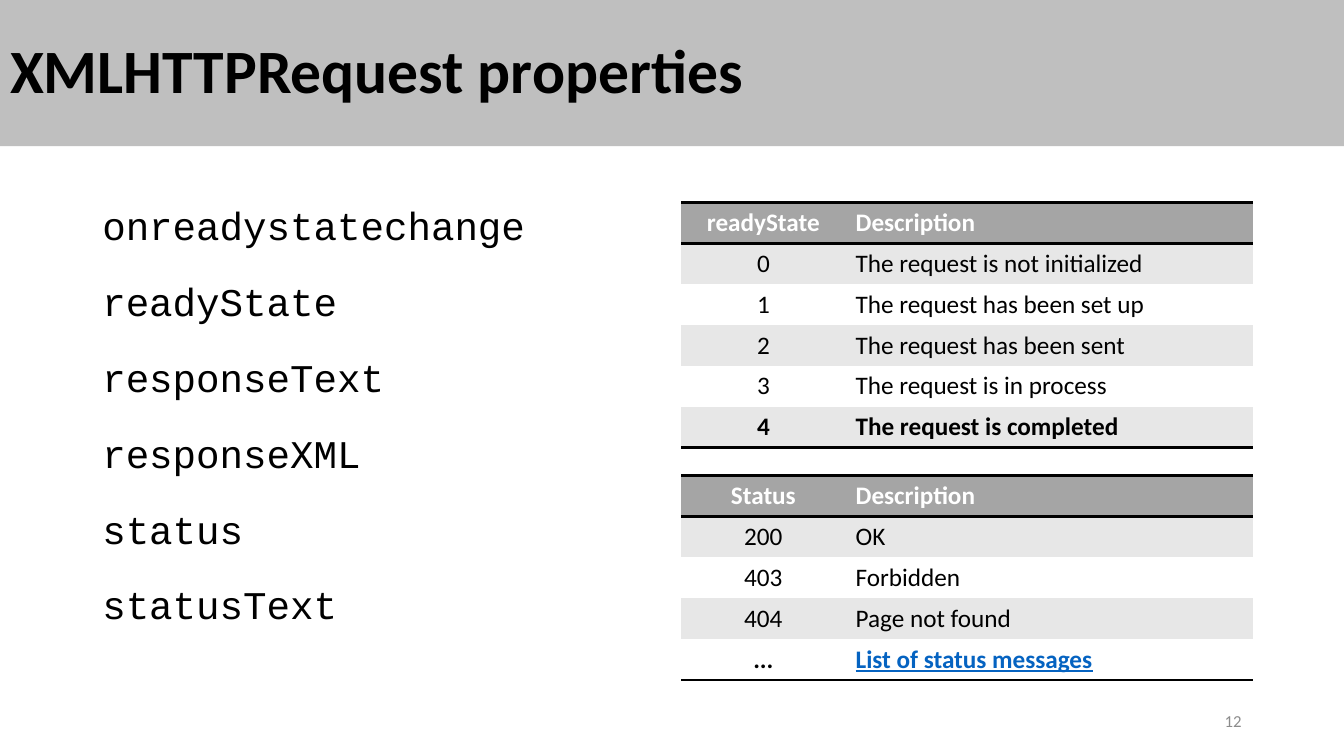
from dataclasses import dataclass

from lxml.etree import SubElement
from pptx import Presentation
from pptx.dml.color import RGBColor
from pptx.enum.text import MSO_ANCHOR as Anchor, MSO_AUTO_SIZE as AutoSize, PP_ALIGN as Align
from pptx.oxml import parse_xml
from pptx.oxml.ns import nsdecls, qn
from pptx.slide import Slide
from pptx.table import _Cell as Cell
from pptx.text.text import _Paragraph as Paragraph
from pptx.util import Pt


@dataclass(frozen=True)
class Theme:
    """Colours, fonts and type sizes of the slide."""
    ink: str = "000000"
    paper: str = "FFFFFF"
    banner: str = "BFBFBF"
    header: str = "A5A5A5"
    band: str = "E7E7E7"
    link: str = "0563C1"
    muted: str = "8C8C8C"
    sans: str = "Calibri"
    mono: str = "Courier New"
    title_size: float = 44
    body_size: float = 28
    table_size: float = 18
    number_size: float = 12


@dataclass(frozen=True)
class Box:
    """A rectangle in points."""
    left: float
    top: float
    width: float
    height: float

    def lengths(self) -> tuple[Pt, Pt, Pt, Pt]:
        """Return the four lengths for python-pptx."""
        return Pt(self.left), Pt(self.top), Pt(self.width), Pt(self.height)


@dataclass(frozen=True)
class CodeTable:
    """A table of codes and their descriptions."""
    top: float
    rows: tuple[tuple[str, str], ...]
    linked_last: bool = False


THEME = Theme()
TABLE_LEFT = 486.6
COLUMN_WIDTHS = (117.4, 291)
ROW_HEIGHT = 29.2
RULE_WIDTH = 2
NO_STYLE = "{2D5ABB26-0587-4C30-8999-92F81FD0307C}"

PROPERTIES = ("onreadystatechange", "readyState", "responseText",
              "responseXML", "status", "statusText")
READY_STATES = CodeTable(144.6, (
    ("readyState", "Description"),
    ("0", "The request is not initialized"),
    ("1", "The request has been set up"),
    ("2", "The request has been sent"),
    ("3", "The request is in process"),
    ("4", "The request is completed"),
))
STATUSES = CodeTable(339.8, (
    ("Status", "Description"),
    ("200", "OK"),
    ("403", "Forbidden"),
    ("404", "Page not found"),
    ("...", "List of status messages"),
), linked_last=True)


def style(para: Paragraph, size: float, colour: str, font: str = THEME.sans,
          bold: bool = False, align: Align = Align.LEFT) -> None:
    """Set the font and alignment of a paragraph."""
    para.font.name = font
    para.font.size = Pt(size)
    para.font.bold = bold
    para.font.color.rgb = RGBColor.from_string(colour)
    para.alignment = align


def add_title(page: Slide, text: str) -> None:
    """Turn the title placeholder into the full-width banner."""
    title = page.shapes.title
    title.left, title.top, title.width, title.height = Box(0, 0, 960, 104.4).lengths()
    title.fill.solid()
    title.fill.fore_color.rgb = RGBColor.from_string(THEME.banner)
    frame = title.text_frame
    frame.text = text
    frame.auto_size = AutoSize.NONE
    frame.vertical_anchor = Anchor.MIDDLE
    para = frame.paragraphs[0]
    para.line_spacing = 0.9
    style(para, THEME.title_size, THEME.ink, bold=True)


def add_properties(page: Slide, names: tuple[str, ...]) -> None:
    """List the property names in a monospaced font."""
    frame = page.shapes.add_textbox(*Box(66, 144, 408, 342.7).lengths()).text_frame
    frame.word_wrap = True
    frame.text = "\n".join(names)
    for para in frame.paragraphs:
        para.line_spacing = 0.9
        para.space_before = para.space_after = Pt(12)
        style(para, THEME.body_size, THEME.ink, THEME.mono)


def add_rules(cell: Cell, *sides: str) -> None:
    """Draw black rules on the named sides, such as lnT and lnB."""
    properties = cell._tc.get_or_add_tcPr()
    for position, side in enumerate(sides):
        properties.insert(position, parse_xml(
            f'<a:{side} {nsdecls("a")} w="{Pt(RULE_WIDTH)}"><a:solidFill>'
            f'<a:srgbClr val="{THEME.ink}"/></a:solidFill></a:{side}>'))


def fill_cell(cell: Cell, text: str, fill: str, colour: str, bold: bool,
              align: Align) -> None:
    """Write and colour one table cell."""
    cell.text = text
    cell.fill.solid()
    cell.fill.fore_color.rgb = RGBColor.from_string(fill)
    style(cell.text_frame.paragraphs[0], THEME.table_size, colour, bold=bold, align=align)


def add_code_table(page: Slide, codes: CodeTable) -> None:
    """Add a banded table with rules around its header and at its foot."""
    count = len(codes.rows)
    box = Box(TABLE_LEFT, codes.top, sum(COLUMN_WIDTHS), ROW_HEIGHT * count)
    table = page.shapes.add_table(count, len(COLUMN_WIDTHS), *box.lengths()).table
    properties = table._tbl.tblPr
    style_id = properties.find(qn("a:tableStyleId"))
    if style_id is None:
        style_id = SubElement(properties, qn("a:tableStyleId"))
    style_id.text = NO_STYLE
    for column, width in zip(table.columns, COLUMN_WIDTHS):
        column.width = Pt(width)
    for index, texts in enumerate(codes.rows):
        table.rows[index].height = Pt(ROW_HEIGHT)
        first, last = index == 0, index == count - 1
        fill = THEME.header if first else THEME.band if index % 2 else THEME.paper
        colour = THEME.paper if first else THEME.ink
        for column, (text, align) in enumerate(zip(texts, (Align.CENTER, Align.LEFT))):
            cell = table.cell(index, column)
            fill_cell(cell, text, fill, colour, first or last, align)
            if first:
                add_rules(cell, "lnT", "lnB")
            elif last:
                add_rules(cell, "lnB")
    if codes.linked_last:
        font = table.cell(count - 1, 1).text_frame.paragraphs[0].font
        font.underline = True
        font.color.rgb = RGBColor.from_string(THEME.link)


def add_page_number(page: Slide, number: int) -> None:
    """Add the page number at the lower right."""
    frame = page.shapes.add_textbox(*Box(678, 500.5, 216, 28.75).lengths()).text_frame
    frame.word_wrap = True
    frame.vertical_anchor = Anchor.MIDDLE
    frame.text = str(number)
    style(frame.paragraphs[0], THEME.number_size, THEME.muted, align=Align.RIGHT)


def main() -> None:
    """Build and save the deck."""
    deck = Presentation()
    deck.slide_width, deck.slide_height = Pt(960), Pt(540)
    page = deck.slides.add_slide(deck.slide_layouts.get_by_name("Title Only"))
    add_title(page, "XMLHTTPRequest properties")
    add_properties(page, PROPERTIES)
    for codes in (READY_STATES, STATUSES):
        add_code_table(page, codes)
    add_page_number(page, 12)
    deck.save("out.pptx")


main()
